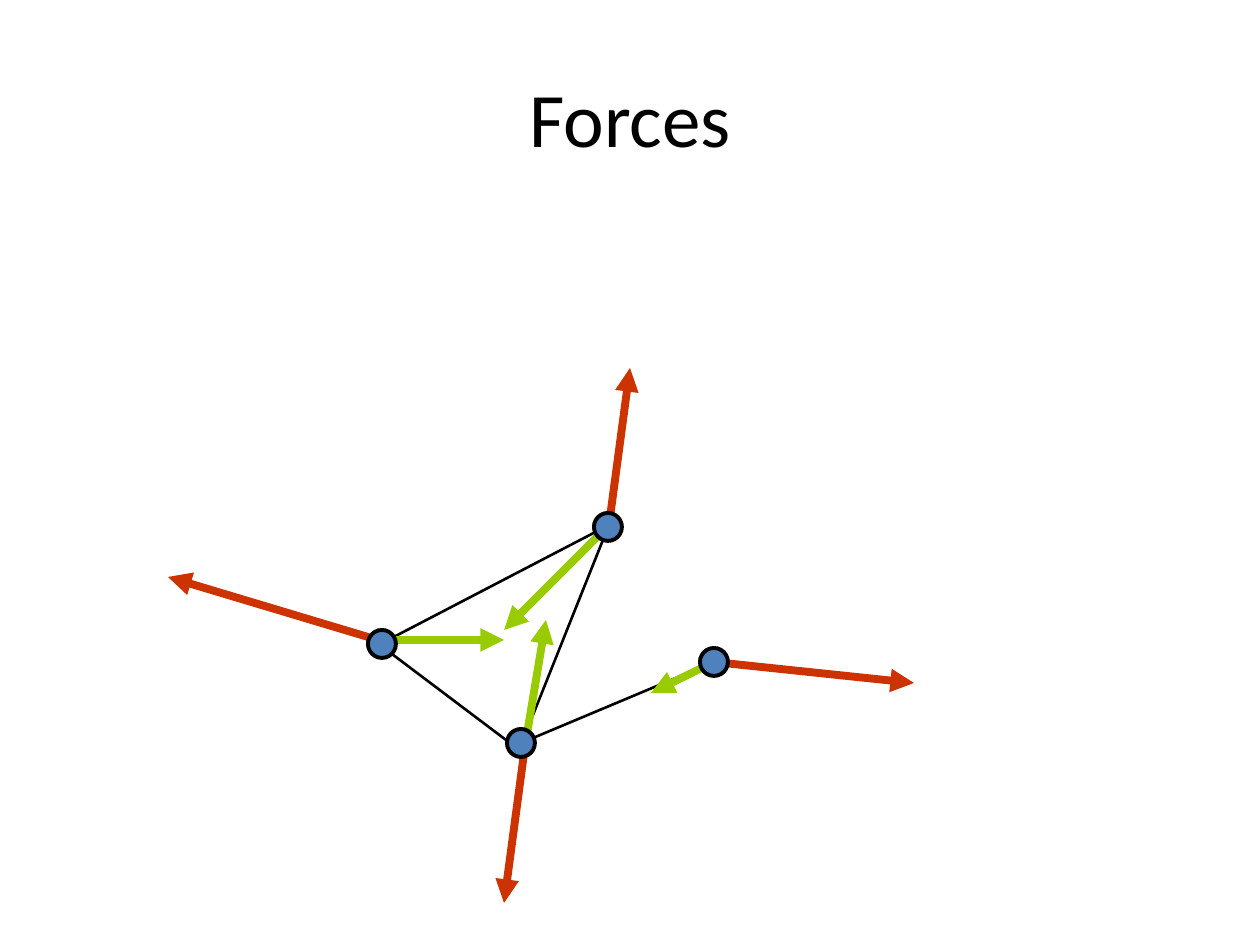
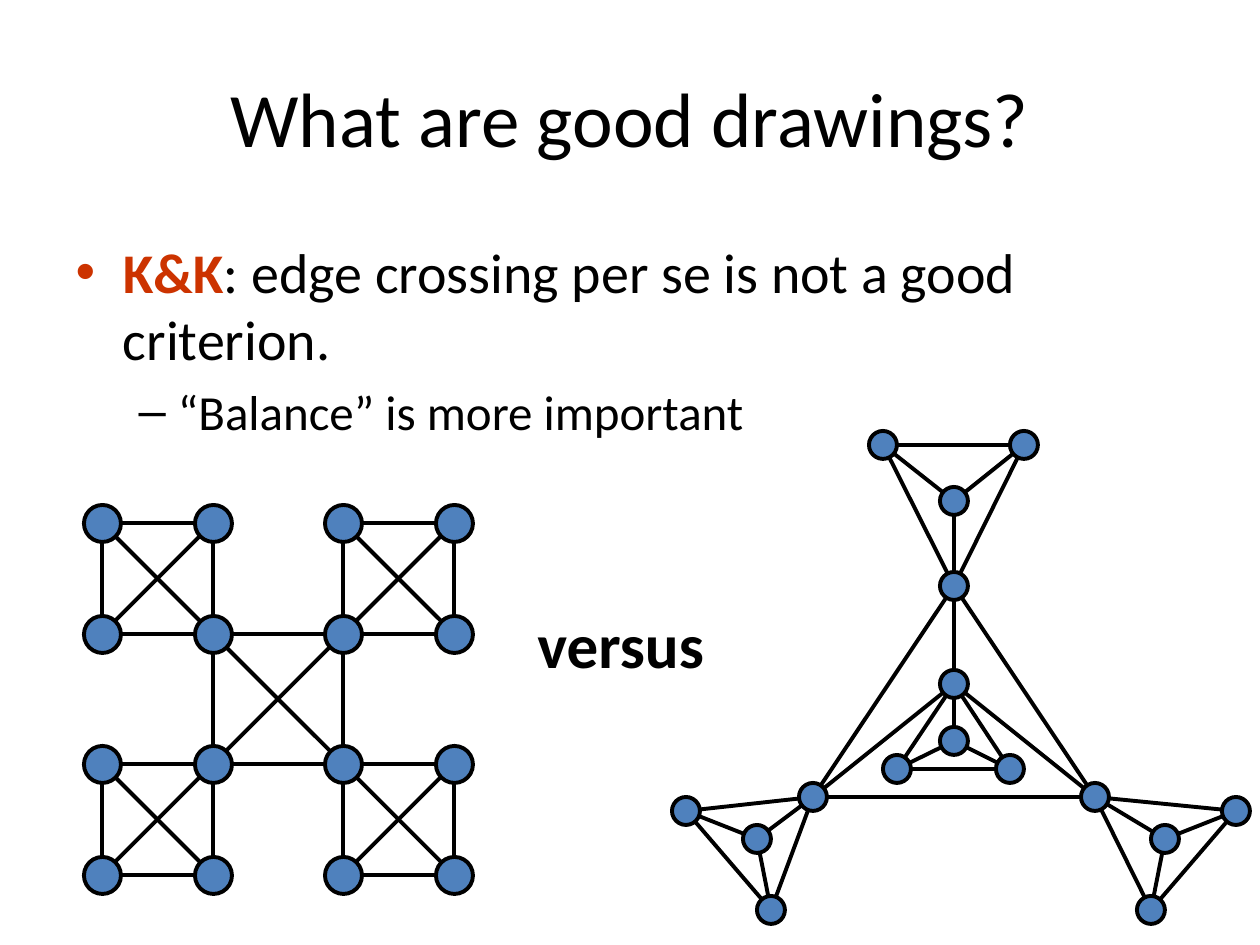
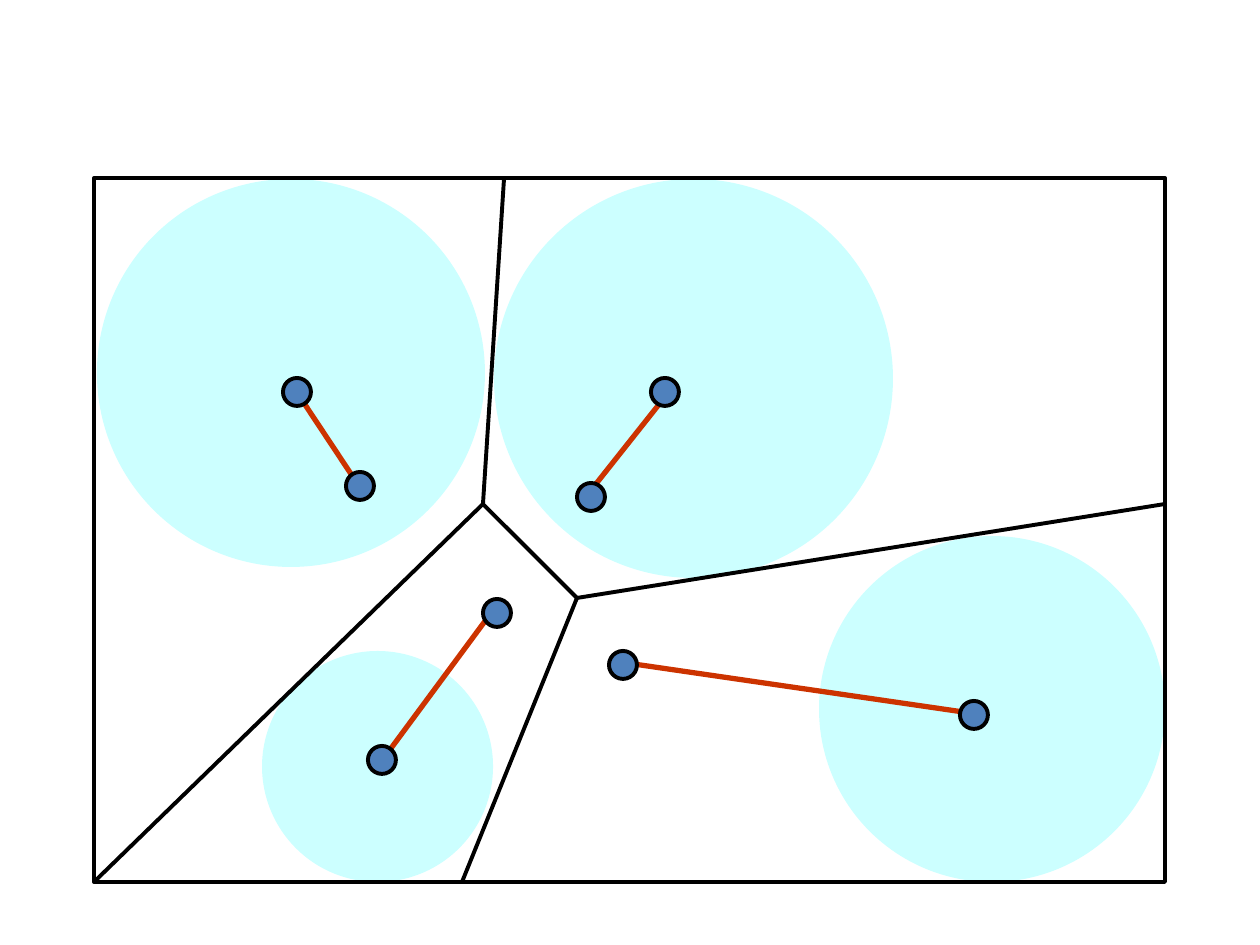
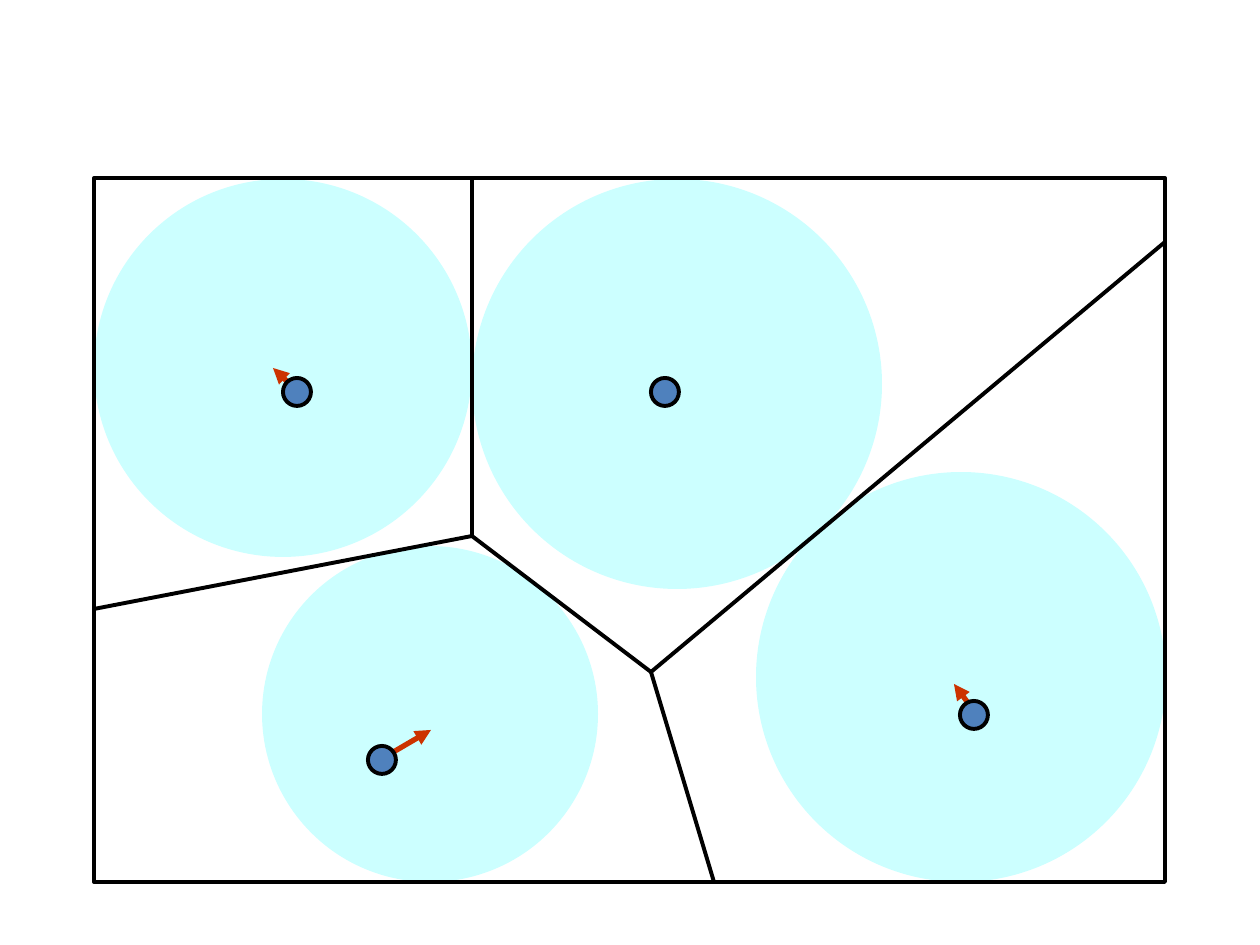
"""Builds four slides on forces, balance and Voronoi cells in graph drawing."""
from lxml.etree import SubElement
from pptx import Presentation
from pptx.dml.color import RGBColor
from pptx.enum.shapes import MSO_CONNECTOR, MSO_SHAPE
from pptx.enum.text import MSO_ANCHOR, PP_ALIGN
from pptx.oxml.ns import qn
from pptx.util import Pt

PX = 914400 / 126
FONT = "Calibri"
HUES = {"ink": "000000", "node": "4F81BD", "push": "CC3300",
        "pull": "99CC00", "disc": "CCFFFF"}
DOT = 28
OVAL, RECT = MSO_SHAPE.OVAL, MSO_SHAPE.RECTANGLE


def write(para, text, size=32, hue="ink", bold=False):
    """Add a formatted run to a paragraph."""
    run = para.add_run()
    run.text = text
    run.font.name = FONT
    run.font.size = Pt(size)
    run.font.bold = bold
    run.font.color.rgb = RGBColor.from_string(HUES[hue])


def draw(pane, nums, kind=None, fill=None, edge="ink", wide=2.25, tip=False):
    """Draw a line between two points, or a shape of the given kind in a box."""
    spots = [round(n * PX) for n in nums]
    if kind is None:
        item = pane.add_connector(MSO_CONNECTOR.STRAIGHT, *spots)
        SubElement(item.element.spPr, qn("a:effectLst"))
    else:
        item = pane.add_shape(kind, *spots)
        item.shadow.inherit = False
        if fill:
            item.fill.solid()
            item.fill.fore_color.rgb = RGBColor.from_string(HUES[fill])
        else:
            item.fill.background()
    if edge:
        item.line.color.rgb = RGBColor.from_string(HUES[edge])
        item.line.width = Pt(wide)
    else:
        item.line.fill.background()
    if tip:
        ln = item.element.spPr.find(qn("a:ln"))
        SubElement(ln, qn("a:tailEnd"), type="triangle")


deck = Presentation()
deck.slide_width, deck.slide_height = round(1260 * PX), round(945 * PX)
forces, goals, first, last = [deck.slides.add_slide(deck.slide_layouts[n])
                              for n in (5, 1, 6, 6)]

for slide, words in [(forces, "Forces"), (goals, "What are good drawings?")]:
    title = slide.shapes.title
    title.left, title.top, title.width, title.height = [
        round(n * PX) for n in (63, 38, 1134, 157)]
    title.text_frame.vertical_anchor = MSO_ANCHOR.MIDDLE
    para = title.text_frame.paragraphs[0]
    para.alignment = PP_ALIGN.CENTER
    write(para, words, size=44)

for ends in [(525, 735, 609, 525), (609, 525, 388, 640),
             (388, 651, 514, 746), (514, 746, 714, 662)]:
    draw(forces.shapes, ends, wide=1.5)
arrows = {
    "push": [(378, 640, 168, 577), (609, 525, 630, 368),
             (525, 746, 504, 903), (714, 662, 914, 683)],
    "pull": [(378, 640, 504, 640), (609, 525, 504, 630),
             (525, 746, 546, 620), (714, 662, 651, 693)],
}
for hue, rays in arrows.items():
    for ends in rays:
        draw(forces.shapes, ends, edge=hue, wide=4.5, tip=True)
for x, y in [(521, 743), (714, 662), (608, 527), (382, 644)]:
    draw(forces.shapes, (x - DOT / 2, y - DOT / 2, DOT, DOT), OVAL, "node")

body = goals.placeholders[1]
body.left, body.top, body.width, body.height = [
    round(n * PX) for n in (63, 231, 1134, 577)]
para = body.text_frame.paragraphs[0]
write(para, "K&K", hue="push", bold=True)
write(para, ": edge crossing per se is not a good criterion.")
para = body.text_frame.add_paragraph()
para.level = 1
write(para, "“Balance” is more important", size=28)

grid = goals.shapes.add_group_shape().shapes
cols, rows = (102, 213, 343, 454), (523, 634, 764, 875)
for n in range(4):
    spans = [(0, 3)] if n in (1, 2) else [(0, 1), (2, 3)]
    for a, b in spans:
        draw(grid, (cols[a], rows[n], cols[b], rows[n]))
        draw(grid, (cols[n], rows[a], cols[n], rows[b]))
for a, b, c, d in [(0, 3, 3, 0), (3, 3, 0, 0), (0, 1, 1, 0),
                   (2, 0, 3, 1), (3, 2, 2, 3), (1, 3, 0, 2)]:
    draw(grid, (cols[a], rows[b], cols[c], rows[d]))
for x in cols:
    for y in rows:
        draw(grid, (x - 18, y - 18, 37, 37), OVAL, "node")

label = goals.shapes.add_textbox(
    *[round(n * PX) for n in (525, 599, 294, 88)])
label.text_frame.word_wrap = True
write(label.text_frame.paragraphs[0], "versus", size=36, bold=True)

nodes = {
    "a": (883, 445), "b": (1024, 445), "c": (954, 501), "d": (954, 586),
    "e": (954, 684), "f": (897, 769), "g": (1010, 769), "h": (954, 741),
    "i": (813, 797), "j": (1095, 797), "k": (757, 839), "l": (686, 811),
    "m": (771, 910), "n": (1165, 839), "o": (1236, 811), "p": (1151, 910),
}
pairs = ("dc cb bd da ab ca de ef fg ge ei id dj ji je "
         "im ml li ik kl km jo op pj jn np no fh he hg")
for a, b in pairs.split():
    draw(goals.shapes, nodes[a] + nodes[b])
for x, y in nodes.values():
    draw(goals.shapes, (x - DOT / 2, y - DOT / 2, DOT, DOT), OVAL, "node")

sites = [(382, 760), (297, 392), (665, 392), (974, 715)]
cells = [
    (first,
     [(262, 651, 231), (97, 179, 388), (819, 536, 346), (494, 179, 399)],
     [(577, 598, 462, 882), (577, 598, 1165, 504), (483, 504, 504, 179),
      (483, 504, 94, 882), (483, 504, 577, 598)],
     [(588, 494, 672, 388), (620, 662, 977, 714),
      (494, 609, 378, 766), (357, 483, 294, 388)],
     [(497, 613), (360, 486), (591, 497), (623, 665)] + sites),
    (last,
     [(262, 546, 336), (472, 179, 410), (94, 179, 378), (756, 472, 410)],
     [(472, 536, 472, 179), (472, 536, 94, 609), (651, 672, 1165, 242),
      (651, 672, 714, 882), (472, 536, 651, 672)],
     [(378, 761, 431, 730), (294, 388, 273, 368), (974, 711, 954, 684)],
     sites),
]
for slide, discs, walls, moves, dots in cells:
    group = slide.shapes.add_group_shape().shapes
    for x, y, size in discs:
        draw(group, (x, y, size, size), OVAL, "disc", edge=None)
    draw(slide.shapes, (94, 178, 1071, 704), RECT)
    group = slide.shapes.add_group_shape().shapes
    for ends in walls:
        draw(group, ends)
    group = slide.shapes.add_group_shape().shapes
    for ends in moves:
        draw(group, ends, edge="push", wide=3, tip=True)
    for x, y in dots:
        draw(slide.shapes, (x - DOT / 2, y - DOT / 2, DOT, DOT), OVAL, "node")

deck.save("out.pptx")
